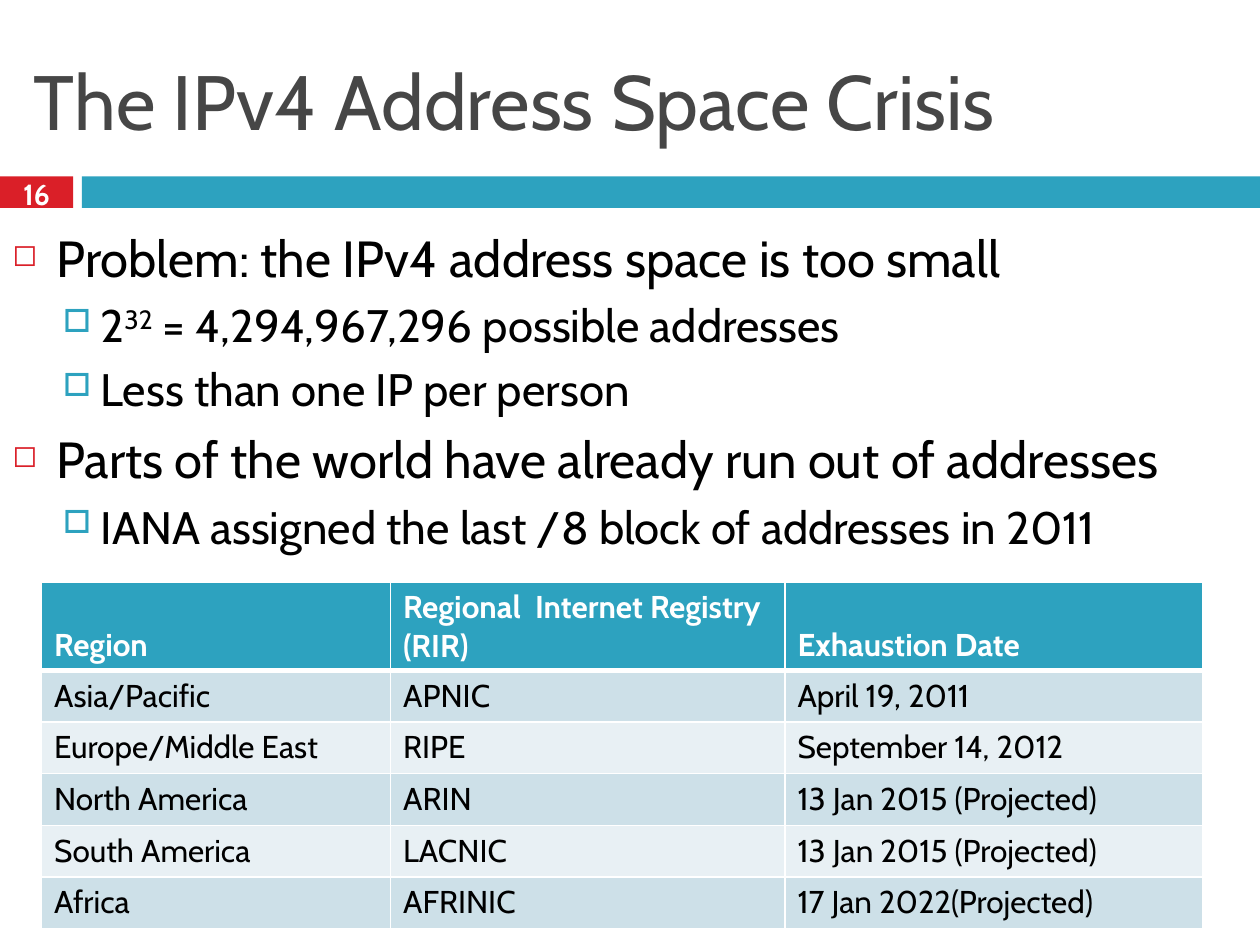
from pptx import Presentation
from pptx.dml.color import RGBColor
from pptx.enum.shapes import MSO_SHAPE as Shape
from pptx.enum.text import MSO_ANCHOR as Anchor, PP_ALIGN as Align
from pptx.oxml.ns import qn
from pptx.util import Inches, Pt
from lxml.etree import SubElement

RED = RGBColor(0xDA, 0x1F, 0x28)
TEAL = RGBColor(0x2D, 0xA2, 0xBF)
GREY = RGBColor(0x46, 0x46, 0x46)
BLACK = RGBColor(0, 0, 0)
WHITE = RGBColor(0xFF, 0xFF, 0xFF)
BAND_DARK = RGBColor(0xCD, 0xE0, 0xE8)
BAND_LIGHT = RGBColor(0xE8, 0xF0, 0xF4)

# One entry per outline level: bullet, colour, bullet %, text size, space before, indent, hanging
LEVELS = [
    ("◻", RED, 60, 29, 7, 0.35, 0.35),
    ("□", TEAL, 70, 26, 5.5, 0.7, 0.3),
]
OUTLINE = [
    (0, ["Problem: the IPv4 address space is too small"]),
    (1, ["2", "^32", " = 4,294,967,296 possible addresses"]),
    (1, ["Less than one IP per person"]),
    (0, ["Parts of the world have already run out of addresses"]),
    (1, ["IANA assigned the last /8 block of addresses in 2011"]),
]
REGISTRIES = [
    ("Region", "Regional  Internet Registry (RIR)", "Exhaustion Date"),
    ("Asia/Pacific", "APNIC", "April 19, 2011"),
    ("Europe/Middle East", "RIPE", "September 14, 2012"),
    ("North America", "ARIN", "13 Jan 2015 (Projected)"),
    ("South America", "LACNIC", "13 Jan 2015 (Projected)"),
    ("Africa", "AFRINIC", "17 Jan 2022(Projected)"),
]


def write(paragraph, text, size, color=BLACK, bold=False, align=None):
    """Append a run; a leading ^ makes it superscript."""
    run = paragraph.add_run()
    run.text = text.removeprefix("^")
    font = run.font
    font.name, font.size, font.bold = "Cabin", Pt(size), bold
    font.color.rgb = color
    if text.startswith("^"):
        font._element.set("baseline", "30000")
    if align is not None:
        paragraph.alignment = align


def add_frame(slide, left, top, width, height, anchor):
    box = slide.shapes.add_textbox(*map(Inches, (left, top, width, height)))
    frame = box.text_frame
    frame.word_wrap = True
    frame.vertical_anchor = anchor
    return frame


def add_bar(slide, left, top, width, height, color):
    bar = slide.shapes.add_shape(Shape.RECTANGLE, *map(Inches, (left, top, width, height)))
    bar.shadow.inherit = False
    bar.fill.solid()
    bar.fill.fore_color.rgb = color
    bar.line.fill.background()


def add_title(slide, left, top, width, height):
    frame = add_frame(slide, left, top, width, height, Anchor.MIDDLE)
    write(frame.paragraphs[0], "The IPv4 Address Space Crisis", 44, GREY)


def add_number_band(slide, left, top, width, height):
    number_width, gap = 0.58, 0.07
    bar_left = left + number_width + gap
    add_bar(slide, left, top, number_width, height, RED)
    add_bar(slide, bar_left, top, left + width - bar_left, height, TEAL)
    frame = add_frame(slide, left, top - 0.03, number_width, height + 0.08, Anchor.MIDDLE)
    write(frame.paragraphs[0], "16", 16.6, WHITE, bold=True, align=Align.CENTER)


def set_bullet(paragraph, char, color, percent, indent, hanging):
    props = paragraph._p.get_or_add_pPr()
    props.set("marL", str(Inches(indent)))
    props.set("indent", str(-Inches(hanging)))
    SubElement(SubElement(props, qn("a:buClr")), qn("a:srgbClr"), val=str(color))
    SubElement(props, qn("a:buSzPct"), val=str(percent * 1000))
    SubElement(props, qn("a:buChar"), char=char)


def add_outline(slide, left, top, width, height):
    frame = add_frame(slide, left, top, width, height, Anchor.TOP)
    for index, (level, parts) in enumerate(OUTLINE):
        paragraph = frame.add_paragraph() if index else frame.paragraphs[0]
        char, color, percent, size, space, indent, hanging = LEVELS[level]
        paragraph.level = level
        paragraph.space_before = Pt(space)
        set_bullet(paragraph, char, color, percent, indent, hanging)
        for part in parts:
            write(paragraph, part, size)


def set_borders(cell, **widths):
    """Draw white borders, given in points by side: L, R, T, B."""
    props = cell._tc.get_or_add_tcPr()
    for side, width in widths.items():
        line = SubElement(props, qn(f"a:ln{side}"), w=str(Pt(width)))
        fill = SubElement(line, qn("a:solidFill"))
        SubElement(fill, qn("a:srgbClr"), val=str(WHITE))


def add_registry_table(slide, left, top, column_widths, row_height):
    rows, columns = len(REGISTRIES), len(column_widths)
    table = slide.shapes.add_table(
        rows, columns, Inches(left), Inches(top),
        Inches(sum(column_widths)), Inches(row_height * rows)).table
    for column, width in zip(table.columns, column_widths):
        column.width = Inches(width)
    for r, entries in enumerate(REGISTRIES):
        table.rows[r].height = Inches(row_height)
        header = r == 0
        band = TEAL if header else BAND_DARK if r % 2 else BAND_LIGHT
        for c, entry in enumerate(entries):
            cell = table.cell(r, c)
            set_borders(cell, L=1, R=1, T=3 if r == 1 else 1, B=3 if header else 1)
            cell.fill.solid()
            cell.fill.fore_color.rgb = band
            cell.vertical_anchor = Anchor.BOTTOM if header else Anchor.TOP
            write(cell.text_frame.paragraphs[0], entry, 18,
                  WHITE if header else BLACK, bold=header)


def main():
    deck = Presentation()
    deck.slide_width, deck.slide_height = Inches(10), Inches(7.5)
    slide = deck.slides.add_slide(deck.slide_layouts[6])
    add_number_band(slide, 0, 1.4, 10, 0.25)
    add_title(slide, 0.17, 0.25, 9.67, 1.08)
    add_outline(slide, 0, 1.75, 10, 2.83)
    add_registry_table(slide, 0.33, 4.62, (2.77, 3.13, 3.32), 0.41)
    deck.save("out.pptx")


if __name__ == "__main__":
    main()
